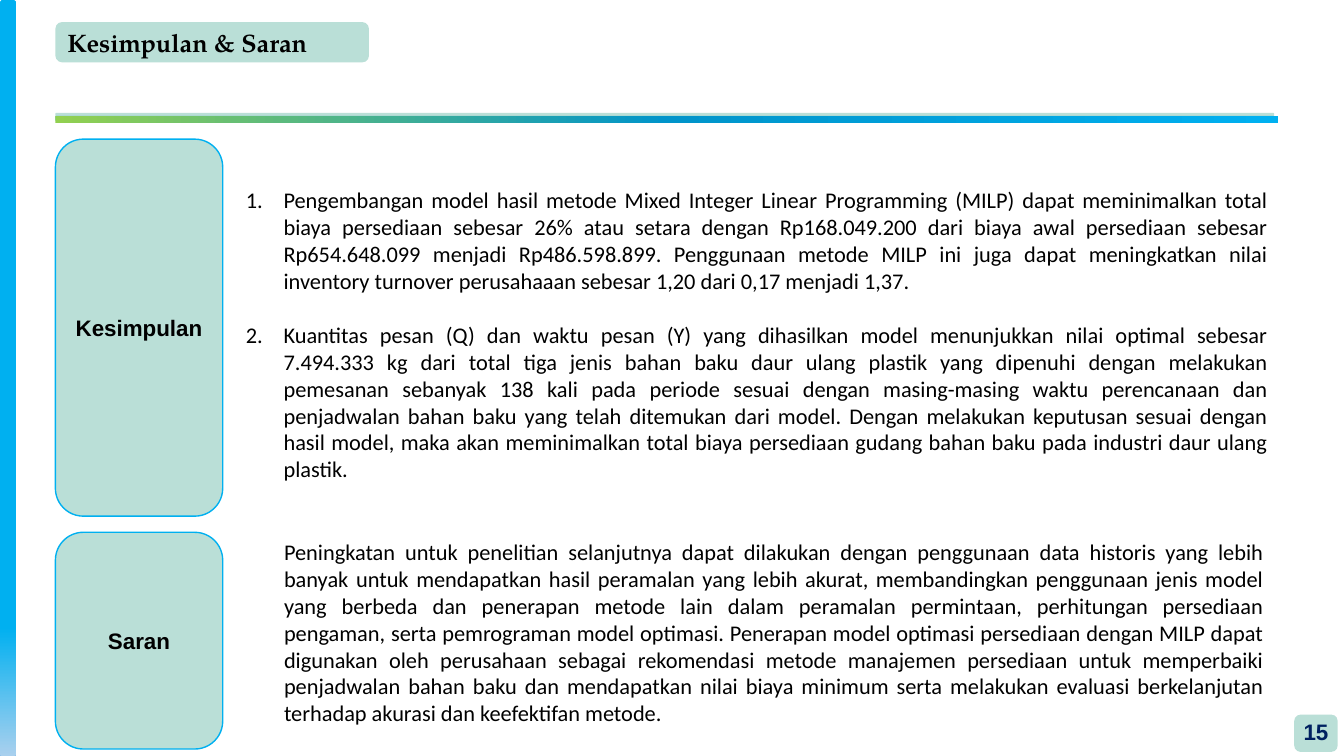
from lxml import etree
from pptx import Presentation
from pptx import util as u
from pptx.dml.color import RGBColor
from pptx.enum import shapes, text
from pptx.oxml.ns import qn

MINT, SKY, BLACK, NAVY = "BADFD7", "00B0F0", "000000", "002060"
LEFT = 39.6
CARD_WIDTH = 119.5
RULE_WIDTH = 870.5

CONCLUSIONS = [
    "Pengembangan model hasil metode Mixed Integer Linear Programming (MILP) dapat "
    "meminimalkan total biaya persediaan sebesar 26% atau setara dengan Rp168.049.200 "
    "dari biaya awal persediaan sebesar Rp654.648.099 menjadi Rp486.598.899. Penggunaan "
    "metode MILP ini juga dapat meningkatkan nilai inventory turnover perusahaaan sebesar "
    "1,20 dari 0,17 menjadi 1,37.",
    "Kuantitas pesan (Q) dan waktu pesan (Y) yang dihasilkan model menunjukkan nilai "
    "optimal sebesar 7.494.333 kg dari total tiga jenis bahan baku daur ulang plastik yang "
    "dipenuhi dengan melakukan pemesanan sebanyak 138 kali pada periode sesuai dengan "
    "masing-masing waktu perencanaan dan penjadwalan bahan baku yang telah ditemukan dari "
    "model. Dengan melakukan keputusan sesuai dengan hasil model, maka akan meminimalkan "
    "total biaya persediaan gudang bahan baku pada industri daur ulang plastik.",
]
SUGGESTION = (
    "Peningkatan untuk penelitian selanjutnya dapat dilakukan dengan penggunaan data "
    "historis yang lebih banyak untuk mendapatkan hasil peramalan yang lebih akurat, "
    "membandingkan penggunaan jenis model yang berbeda dan penerapan metode lain dalam "
    "peramalan permintaan, perhitungan persediaan pengaman, serta pemrograman model "
    "optimasi. Penerapan model optimasi persediaan dengan MILP dapat digunakan oleh "
    "perusahaan sebagai rekomendasi metode manajemen persediaan untuk memperbaiki "
    "penjadwalan bahan baku dan mendapatkan nilai biaya minimum serta melakukan evaluasi "
    "berkelanjutan terhadap akurasi dan keefektifan metode."
)


def color(value):
    return RGBColor.from_string(value)


class SlideBuilder:
    def __init__(self, slide):
        self.slide = slide

    def panel(self, left, top, width, height, fill=MINT, line=None, rounded=True):
        kind = shapes.MSO_SHAPE.ROUNDED_RECTANGLE if rounded else shapes.MSO_SHAPE.RECTANGLE
        box = self.slide.shapes.add_shape(
            kind, u.Pt(left), u.Pt(top), u.Pt(width), u.Pt(height))
        box.shadow.inherit = False
        box.fill.solid()
        box.fill.fore_color.rgb = color(fill)
        if line:
            box.line.color.rgb = color(line)
            box.line.width = u.Pt(1)
        else:
            box.line.fill.background()
        return box

    def gradient_bar(self, left, top, width, height, stops, angle, rounded):
        """Stops are (percent, colour) pairs; the angle runs counter-clockwise."""
        bar = self.panel(left, top, width, height, rounded=rounded)
        bar.fill.gradient()
        bar.fill.gradient_angle = angle
        stop_list = bar._element.spPr.find(qn("a:gradFill")).find(qn("a:gsLst"))
        for old in list(stop_list):
            stop_list.remove(old)
        for percent, value in stops:
            stop = etree.SubElement(stop_list, qn("a:gs"), pos=str(percent * 1000))
            etree.SubElement(stop, qn("a:srgbClr"), val=value)

    def label(self, box, words, size, font, align, fill=BLACK):
        box.text_frame.vertical_anchor = text.MSO_ANCHOR.MIDDLE
        para = box.text_frame.paragraphs[0]
        para.text = words
        para.alignment = align
        self.style(para, size, font, fill, bold=True)

    def body(self, left, top, width, height, items, numbered=False):
        box = self.slide.shapes.add_textbox(
            u.Pt(left), u.Pt(top), u.Pt(width), u.Pt(height))
        frame = box.text_frame
        frame.word_wrap = True
        for index, words in enumerate(items):
            para = frame.add_paragraph() if index else frame.paragraphs[0]
            para.text = words
            para.alignment = text.PP_ALIGN.JUSTIFY
            if index:
                para.space_before = u.Pt(19.5)
            if numbered:
                props = para._p.get_or_add_pPr()
                props.set("marL", str(u.Pt(27)))
                props.set("indent", str(u.Pt(-27)))
                etree.SubElement(props, qn("a:buFont"), typeface="+mj-lt")
                etree.SubElement(props, qn("a:buAutoNum"), type="arabicPeriod")
            self.style(para, 16, "Calibri", BLACK)

    def style(self, para, size, font, fill, bold=False):
        para.font.size = u.Pt(size)
        para.font.name = font
        para.font.bold = bold
        para.font.color.rgb = color(fill)


def main():
    deck = Presentation()
    deck.slide_width, deck.slide_height = u.Pt(960), u.Pt(540)
    page = SlideBuilder(deck.slides.add_slide(deck.slide_layouts[6]))
    center = text.PP_ALIGN.CENTER

    title = page.panel(LEFT, 15.8, 224, 28.8)
    page.label(title, "Kesimpulan & Saran", 18, "TeX Gyre Pagella", text.PP_ALIGN.LEFT)

    page.panel(LEFT, 80.6, RULE_WIDTH, 3.6)
    page.panel(LEFT, 82.8, RULE_WIDTH, 3.6, fill="54B9B9")
    page.gradient_bar(LEFT, 82.8, 873.4, 5,
                      [(0, "92D050"), (50, "0094CA"), (100, SKY)], 0, rounded=False)

    badge = page.panel(924.5, 510.5, 31, 26.6)
    frame = badge.text_frame
    frame.margin_left = frame.margin_right = frame.margin_top = 0
    frame.margin_bottom = u.Pt(3)
    page.label(badge, "15", 16, "Arial", center, NAVY)

    page.gradient_bar(0, 0, 11.5, 540,
                      [(0, SKY), (83, SKY), (100, "A9D0EE")], 270, rounded=True)

    for words, top, height in [("Kesimpulan", 99.4, 269.3), ("Saran", 380.2, 154.8)]:
        card = page.panel(LEFT, top, CARD_WIDTH, height, line=SKY)
        page.label(card, words, 16, "Arial", center)

    page.body(168.5, 129.6, 744.5, 220.3, CONCLUSIONS, numbered=True)
    page.body(195.8, 380.9, 714.2, 143.3, [SUGGESTION])

    deck.save("out.pptx")


if __name__ == "__main__":
    main()
